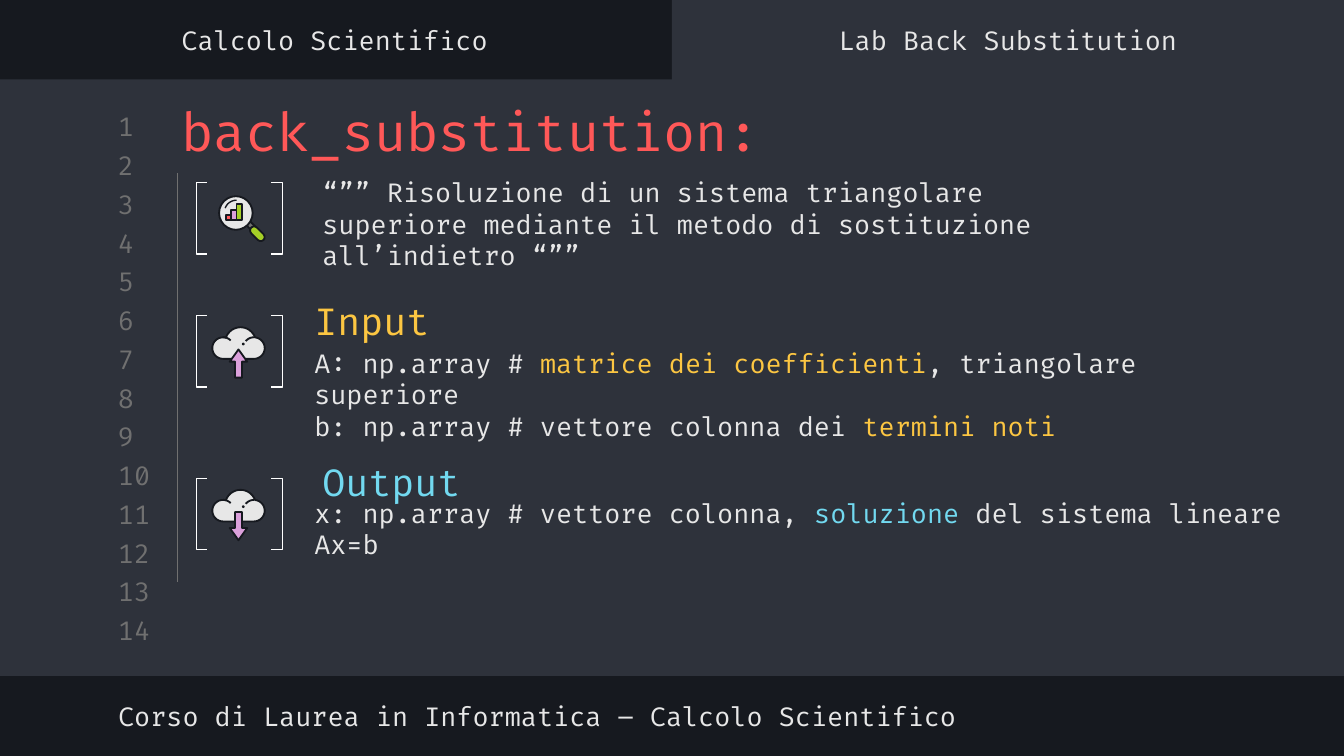
import math

from lxml import etree
from pptx import Presentation
from pptx import util as u
from pptx.dml.color import RGBColor
from pptx.enum import shapes, text
from pptx.oxml import ns

DARK = RGBColor(0x16, 0x19, 0x1F)
PANEL = RGBColor(0x2E, 0x32, 0x3B)
GRAY = RGBColor(0x70, 0x70, 0x70)
LIGHT = RGBColor(0xE7, 0xE7, 0xE7)
WHITE = RGBColor(0xFF, 0xFF, 0xFF)
RED = RGBColor(0xFF, 0x58, 0x58)
YELLOW = RGBColor(0xFC, 0xC6, 0x42)
CYAN = RGBColor(0x72, 0xD9, 0xF0)
GREEN = RGBColor(0xA5, 0xCF, 0x27)
PINK = RGBColor(0xDB, 0xA0, 0xDB)
FONT = "Fira Code"
SHAPE = shapes.MSO_SHAPE
ICON_LINE = 1


def paint(shape, fill=None, line=None, width=0.75):
    shape.shadow.inherit = False
    if fill is None:
        shape.fill.background()
    else:
        shape.fill.solid()
        shape.fill.fore_color.rgb = fill
    if line is None:
        shape.line.fill.background()
    else:
        shape.line.color.rgb = line
        shape.line.width = u.Pt(width)


def add_preset(page, kind, left, top, width, height, fill=None, line=None, weight=0.75):
    shape = page.shapes.add_shape(
        kind, u.Inches(left), u.Inches(top), u.Inches(width), u.Inches(height))
    paint(shape, fill, line, weight)
    return shape


def write(box, lines, size, color, align=text.PP_ALIGN.LEFT, anchor=text.MSO_ANCHOR.MIDDLE):
    """Each line is a list of (words, accent colour or None) spans."""
    frame = box.text_frame
    frame.word_wrap = True
    frame.auto_size = text.MSO_AUTO_SIZE.NONE
    frame.vertical_anchor = anchor
    frame.margin_left = frame.margin_right = u.Inches(0.1)
    frame.margin_top = frame.margin_bottom = u.Inches(0.1)
    for index, spans in enumerate(lines):
        para = frame.add_paragraph() if index else frame.paragraphs[0]
        para.alignment = align
        para.font.name = FONT
        para.font.size = u.Pt(size)
        para.font.color.rgb = color
        for words, accent in spans:
            span = para.add_run()
            span.text = words
            if accent is not None:
                span.font.color.rgb = accent


def add_text(page, left, top, width, height, lines, size=14, color=LIGHT, **layout):
    box = page.shapes.add_textbox(
        u.Inches(left), u.Inches(top), u.Inches(width), u.Inches(height))
    write(box, lines, size, color, **layout)


def arc(x, y, radius, start, end, steps=16):
    angles = [math.radians(start + (end - start) * i / steps) for i in range(steps + 1)]
    return [(x + radius * math.cos(a), y + radius * math.sin(a)) for a in angles]


def add_outline(page, points, closed=True):
    places = [(u.Inches(x), u.Inches(y)) for x, y in points]
    builder = page.shapes.build_freeform(*places[0], scale=1.0)
    builder.add_line_segments(places[1:], close=closed)
    return builder.convert_to_shape()


# Backdrop: editor panel, active tab, header and footer text
def add_frame(page):
    page.background.fill.solid()
    page.background.fill.fore_color.rgb = DARK
    add_preset(page, SHAPE.RECTANGLE, 0, 0.59, 10, 4.44, PANEL)
    add_preset(page, SHAPE.RECTANGLE, 5, 0, 5, 0.69, PANEL)
    for left, label in ((-0.01, "Calcolo Scientifico"), (5, "Lab Back Substitution")):
        add_text(page, left, 0.1, 5, 0.39, [[(label, None)]], align=text.PP_ALIGN.CENTER)
    add_text(page, 0.78, 5.13, 6.89, 0.39,
             [[("Corso di Laurea in Informatica – Calcolo Scientifico", None)]])


# Line numbers and the indent guide
def add_gutter(page, left, top, count=14, reach=3.75):
    pitch = reach / (count - 1)
    for index in range(count):
        add_text(page, left, top + index * pitch, 0.47, 0.24,
                 [[(str(index + 1), None)]], color=GRAY)
    guide_x = u.Inches(left + 0.54)
    guide = page.shapes.add_connector(
        shapes.MSO_CONNECTOR.STRAIGHT, guide_x, u.Inches(top + 0.47),
        guide_x, u.Inches(top + 3.51))
    guide.line.color.rgb = GRAY
    guide.line.width = u.Pt(0.75)
    etree.SubElement(guide._element.spPr, ns.qn("a:effectLst"))


def add_brackets(page, left, top):
    for kind, offset in ((SHAPE.LEFT_BRACKET, 0), (SHAPE.RIGHT_BRACKET, 0.56)):
        bracket = add_preset(page, kind, left + offset, top, 0.08, 0.53, line=WHITE)
        bracket.adjustments[0] = 0


# Magnifier over a small bar chart
def add_magnifier(page, left, top):
    neck = add_preset(page, SHAPE.RECTANGLE, left + 0.25, top + 0.21, 0.07, 0.04,
                      GRAY, DARK, ICON_LINE)
    neck.rotation = 45
    handle = add_preset(page, SHAPE.ROUNDED_RECTANGLE, left + 0.27, top + 0.26, 0.13, 0.06,
                        GREEN, DARK, ICON_LINE)
    handle.rotation = 45
    handle.adjustments[0] = 0.5
    add_preset(page, SHAPE.OVAL, left + 0.05, top + 0.01, 0.25, 0.25, LIGHT, DARK, ICON_LINE)
    for index, color in enumerate((RED, PINK, GREEN)):
        height = 0.04 * (index + 1)
        add_preset(page, SHAPE.RECTANGLE, left + 0.1 + 0.04 * index, top + 0.19 - height,
                   0.04, height, color, DARK, ICON_LINE)
    glint = add_outline(page, arc(left + 0.18, top + 0.13, 0.09, 200, 270), closed=False)
    paint(glint, line=DARK, width=0.75)


# Cloud with an arrow
def add_cloud(page, left, top, arrow_kind):
    points = (arc(left + 0.08, top + 0.16, 0.08, 90, 285)
              + arc(left + 0.21, top + 0.12, 0.115, 200, 340)
              + arc(left + 0.31, top + 0.16, 0.08, 275, 450))
    paint(add_outline(page, points), LIGHT, DARK, ICON_LINE)
    for x, start, end in ((0.08, 270, 315), (0.31, 270, 220)):
        crease = add_outline(page, arc(left + x, top + 0.16, 0.08, start, end), closed=False)
        paint(crease, line=DARK, width=ICON_LINE)
    add_preset(page, SHAPE.OVAL, left + 0.22, top + 0.12, 0.02, 0.02, DARK)
    arrow = add_preset(page, arrow_kind, left + 0.13, top + 0.17, 0.13, 0.21,
                       PINK, DARK, ICON_LINE)
    arrow.adjustments[0] = 0.4
    arrow.adjustments[1] = 0.7


# Sections: bracketed icon, optional heading, body
def add_description(page, left, top):
    add_magnifier(page, left + 0.12, top + 0.09)
    add_brackets(page, left, top)
    add_text(page, left + 0.84, top - 0.01, 6.22, 0.63, [[(
        "“”” Risoluzione di un sistema triangolare superiore mediante "
        "il metodo di sostituzione all’indietro “””", None)]])


def add_input(page, left, top):
    add_cloud(page, left + 0.12, top + 0.08, SHAPE.UP_ARROW)
    add_brackets(page, left, top)
    add_text(page, left + 0.78, top - 0.15, 5.48, 0.37, [[("Input", None)]], 20, YELLOW)
    add_text(page, left + 0.78, top + 0.27, 7.34, 0.63, [
        [("A: np.array # ", None), ("matrice dei coefficienti", YELLOW),
         (", triangolare superiore", None)],
        [("b: np.array # vettore colonna dei ", None), ("termini noti", YELLOW)]])


def add_output(page, left, top):
    add_cloud(page, left + 0.12, top + 0.08, SHAPE.DOWN_ARROW)
    add_brackets(page, left, top)
    add_text(page, left + 0.84, top - 0.16, 5.48, 0.37, [[("Output", None)]], 20, CYAN)
    add_text(page, left + 0.78, top + 0.06, 7.76, 0.63, [
        [("x: np.array # vettore colonna, ", None), ("soluzione", CYAN),
         (" del sistema lineare Ax=b", None)]])


# Title, raised above the panel
def add_title(page, left, top, width, height):
    title = page.shapes.title
    title.left, title.top = u.Inches(left), u.Inches(top)
    title.width, title.height = u.Inches(width), u.Inches(height)
    write(title, [[("back_substitution:", None)]], 28, RED, anchor=text.MSO_ANCHOR.TOP)
    page.shapes._spTree.append(title._element)


deck = Presentation()
deck.slide_width = u.Inches(10)
deck.slide_height = deck.slide_width * 9 // 16
page = deck.slides.add_slide(deck.slide_layouts[5])
add_frame(page)
add_gutter(page, 0.78, 0.82)
add_title(page, 1.25, 0.64, 7.97, 0.59)
add_description(page, 1.46, 1.36)
add_input(page, 1.46, 2.35)
add_output(page, 1.46, 3.56)
deck.save("out.pptx")
